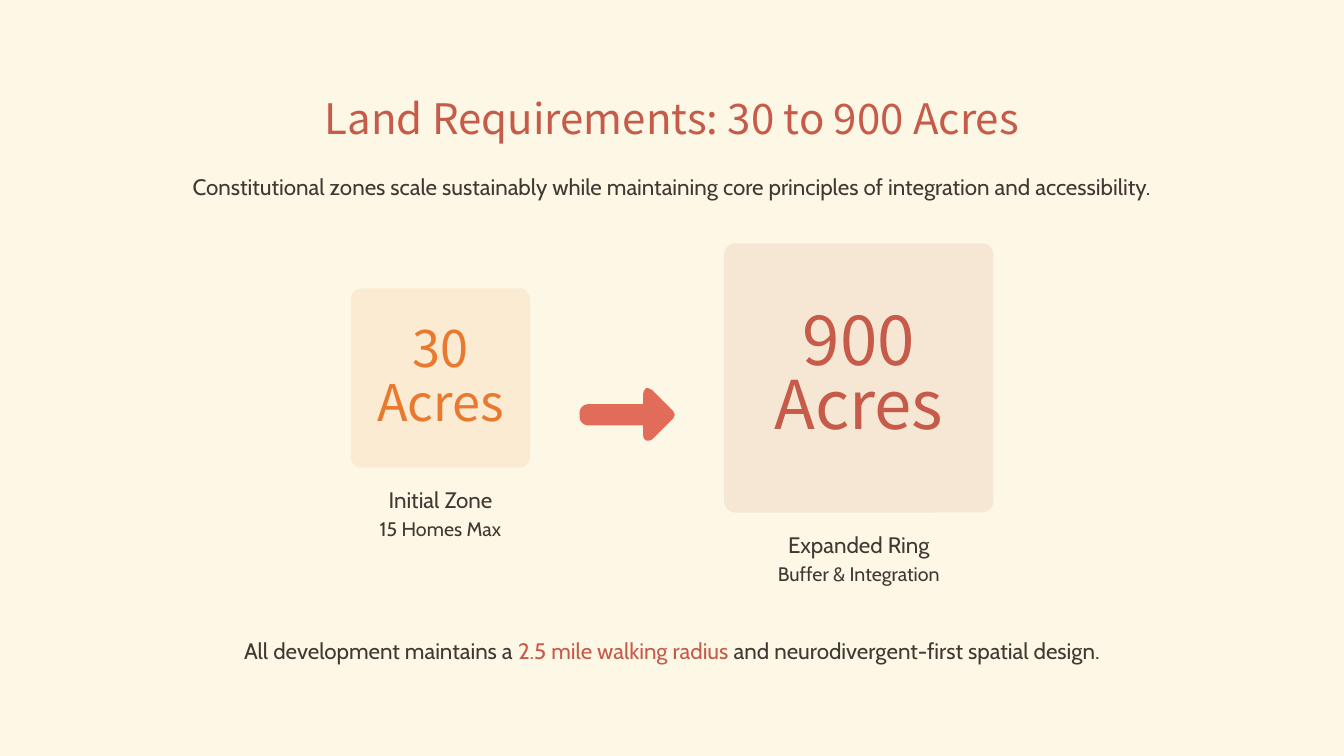
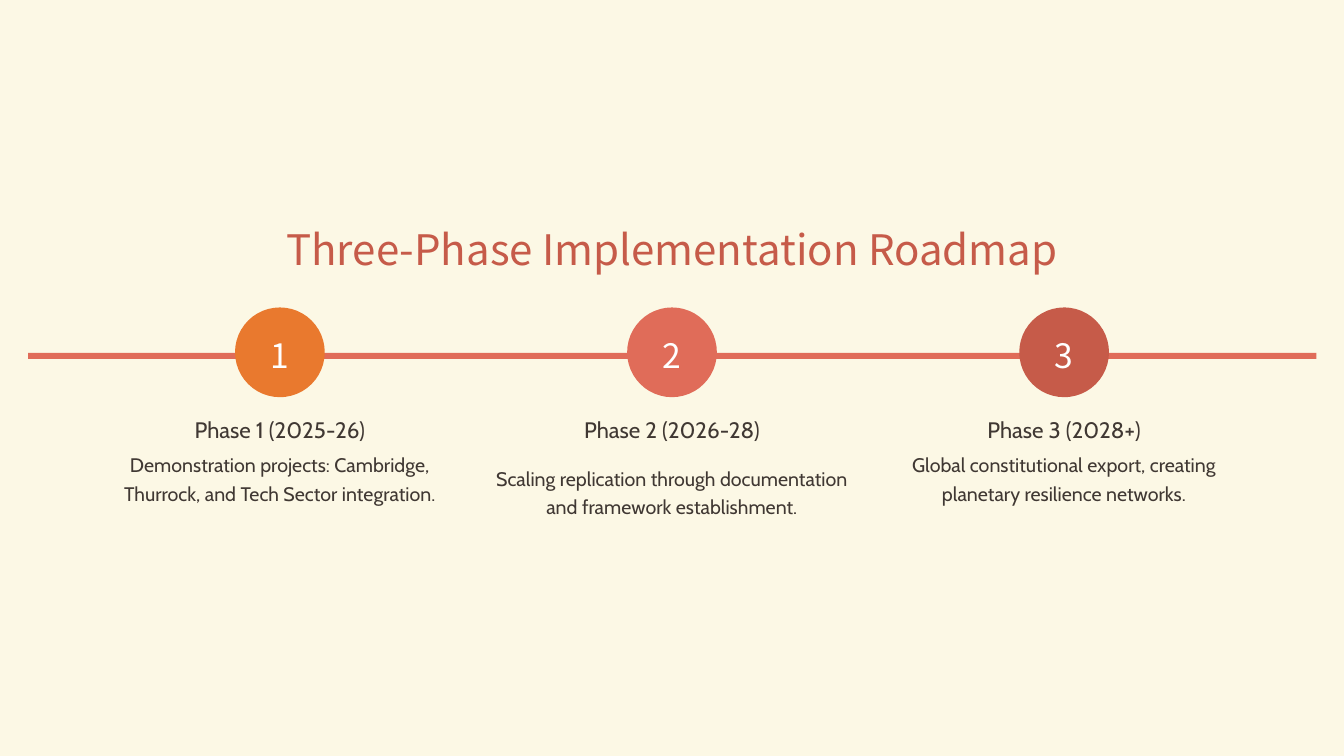
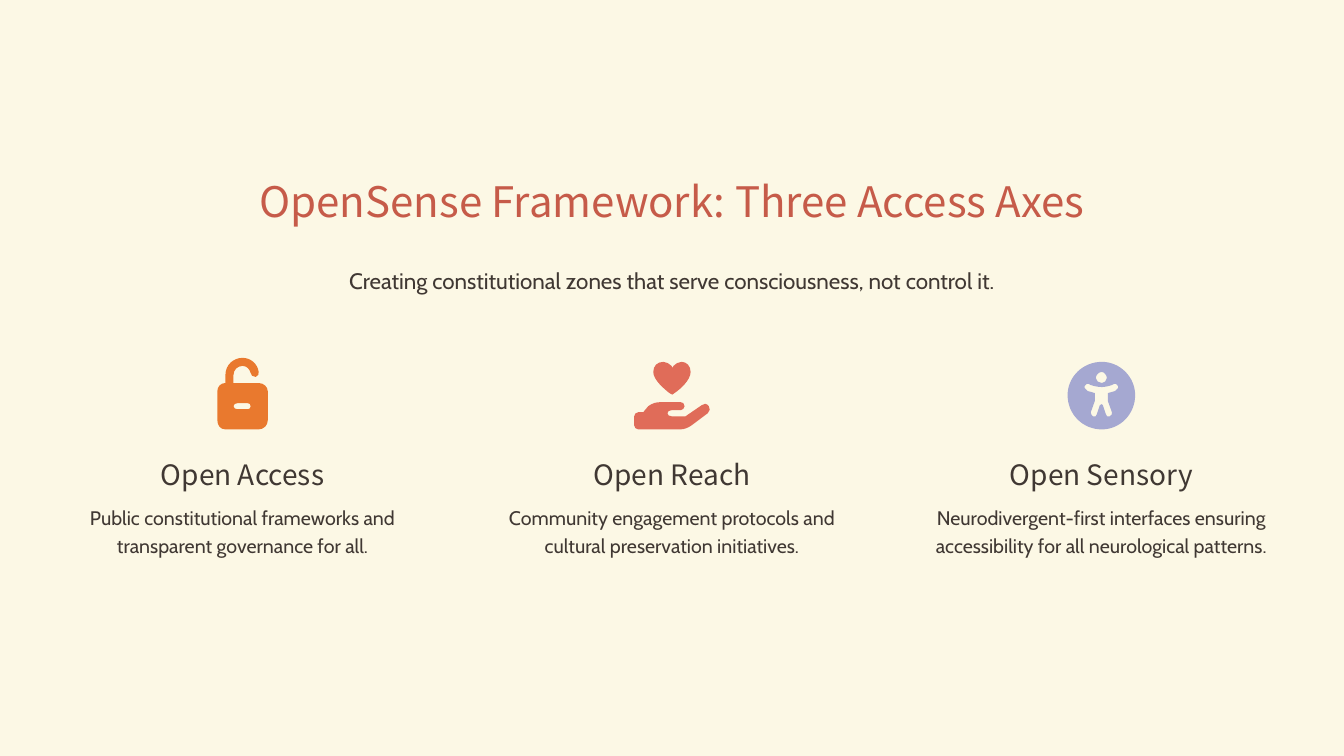
from lxml.etree import SubElement
from pptx import Presentation
from pptx.dml.color import RGBColor
from pptx.enum.shapes import MSO_SHAPE
from pptx.enum.text import MSO_ANCHOR, PP_ALIGN
from pptx.oxml.ns import qn
from pptx.util import Inches, Pt

CREAM, DARK, WHITE = "FCF8E5", "403833", "FFFFFF"
BRICK, CORAL, ORANGE, LILAC = "C65B49", "E06C59", "E9792E", "A5A8D1"
HEADING, BODY = "Noto Sans CJK SC", "Cabin"
WIDTH, HEIGHT = 40 / 3, 7.5
MIDDLE = WIDTH / 2

# Outlines in hundredths of an inch: two numbers are a point, six a Bezier curve.
ARROW = [
    "93 23, 95 25 95 28 93 30, 72 51, 70 52 68 53 66 52, 64 51 63 49 63 47, 63 37,"
    "8 37, 4 37 0 33 0 29, 0 24, 0 20 4 16 8 16, 63 16, 63 6, 63 4 64 2 66 0,"
    "68 0 70 0 72 2, 93 23",
]
PADLOCK = [
    "25 8, 20 8 16 12 16 17, 16 25, 41 25, 46 25 50 29 50 33, 50 62,"
    "50 67 46 71 41 71, 8 71, 3 71 0 67 0 62, 0 33, 0 29 3 25 8 25, 8 17,"
    "8 7 16 0 25 0, 33 0 40 6 41 14, 42 16 40 18 38 19, 35 19 33 17 33 15,"
    "32 11 29 8 25 8",
    "30 51, 32 51 33 50 33 48, 33 46 32 45 30 45, 20 45, 18 45 16 46 16 48,"
    "16 50 18 51 20 51, 30 51",
]
HEART_IN_HAND = [
    "37 4, 35 2 32 0 29 0, 23 0 19 4 19 10, 19 10, 19 18 30 27 35 31,"
    "37 33 39 33 40 31, 46 27 56 18 56 10, 56 10, 56 4 52 0 47 0, 44 0 41 2 39 4,"
    "38 6, 37 4",
    "14 44, 9 50, 4 50, 2 50 0 52 0 54, 0 63, 0 65 2 67 4 67, 46 67,"
    "50 67 54 65 57 63, 73 51, 75 49 76 46 74 44, 72 41 69 41 67 43, 51 54, 37 54,"
    "35 54 33 53 33 51, 33 49 35 48 37 48, 46 48, 48 48 50 46 50 44,"
    "50 41 48 40 46 40, 26 40, 22 40 18 41 14 44",
]
PERSON = [
    "0 33, 0 15 15 0 34 0, 52 0 67 15 67 33, 67 52 52 67 34 67, 15 67 0 52 0 33",
    "21 22, 20 21 18 22 17 24, 16 25 17 27 19 28, 20 29, 23 30 25 30 27 31, 27 37,"
    "27 38 27 38 27 39, 23 50, 23 52 24 53 25 54, 27 55 29 54 29 52, 32 43,"
    "33 42 33 42 34 42, 34 42 35 42 35 43, 38 52, 38 54 40 55 42 54,"
    "44 53 44 52 44 50, 40 39, 40 38 40 38 40 37, 40 31, 42 30 45 30 47 29, 48 28,"
    "50 27 51 25 50 24, 49 22 47 21 46 22, 44 23, 41 24 37 25 34 25,"
    "30 25 26 24 23 23, 21 22",
    "34 21, 36 21 39 19 39 16, 39 13 36 10 34 10, 31 10 28 13 28 16, 28 19 31 21 34 21",
]


def add_text(page, center, top, width, height, paragraphs, size, font=BODY, spacing=1.3):
    """Add a centred text box; each paragraph is a list of (text, colour) runs."""
    box = page.shapes.add_textbox(
        Inches(center - width / 2), Inches(top), Inches(width), Inches(height))
    frame = box.text_frame
    frame.word_wrap = True
    frame.vertical_anchor = MSO_ANCHOR.MIDDLE
    frame.margin_left = frame.margin_top = frame.margin_right = frame.margin_bottom = 0
    for number, runs in enumerate(paragraphs):
        para = frame.add_paragraph() if number else frame.paragraphs[0]
        para.alignment = PP_ALIGN.CENTER
        para.line_spacing = spacing
        for text, color in runs:
            span = para.add_run()
            span.text = text
            span.font.name = font
            span.font.size = Pt(size)
            span.font.color.rgb = RGBColor.from_string(color)


def add_figure(page, figure, left, top, color, width=0, height=0):
    """Draw a preset of the given size, or an outline at its own size."""
    if isinstance(figure, list):
        builder, segments = None, []
        for contour in figure:
            start, *rest = [[int(n) for n in part.split()] for part in contour.split(",")]
            if builder is None:
                builder = page.shapes.build_freeform(*start, scale=Inches(0.01))
            else:
                builder.move_to(*start)
            builder.add_line_segments([segment[-2:] for segment in rest], close=True)
            segments += rest
        shape = builder.convert_to_shape(Inches(left), Inches(top))
        # The builder only knows straight lines, so curves replace them here.
        lines = list(shape._element.iter(qn("a:lnTo")))
        for line, segment in zip(lines, segments):
            if len(segment) == 6:
                parent = line.getparent()
                curve = SubElement(parent, qn("a:cubicBezTo"))
                parent.replace(line, curve)
                for x, y in zip(segment[::2], segment[1::2]):
                    SubElement(curve, qn("a:pt"), x=str(x), y=str(y))
    else:
        shape = page.shapes.add_shape(
            figure, Inches(left), Inches(top), Inches(width), Inches(height))
    shape.shadow.inherit = False
    shape.fill.solid()
    shape.fill.fore_color.rgb = RGBColor.from_string(color)
    shape.line.fill.background()
    return shape


deck = Presentation()
deck.slide_width, deck.slide_height = Inches(WIDTH), Inches(HEIGHT)

pages = []
for title_top, title in [
    (0.92, "Land Requirements: 30 to 900 Acres"),
    (2.22, "Three-Phase Implementation Roadmap"),
    (1.74, "OpenSense Framework: Three Access Axes"),
]:
    page = deck.slides.add_slide(deck.slide_layouts[6])
    page.background.fill.solid()
    page.background.fill.fore_color.rgb = RGBColor.from_string("F3F4F6")
    add_figure(page, MSO_SHAPE.RECTANGLE, -0.03, 0, CREAM, 13.38, HEIGHT)
    add_text(page, MIDDLE, title_top, WIDTH, 0.5, [[(title, BRICK)]], 30, HEADING, 1)
    pages.append(page)
land_page, roadmap_page, access_page = pages

# Land requirements
add_text(land_page, MIDDLE, 1.65, WIDTH, 0.33, [[(
    "Constitutional zones scale sustainably while maintaining core principles "
    "of integration and accessibility.", DARK)]], 16)
zone_middle = 3.75
for center, side, acres, width, height, size, spacing, color, label, caption in [
    (4.37, 1.78, "30", 1.28, 1.11, 36, 0.9, ORANGE, "Initial Zone", "15 Homes Max"),
    (8.52, 2.67, "900", 1.71, 1.33, 48, 0.8, BRICK, "Expanded Ring", "Buffer & Integration"),
]:
    top = zone_middle - side / 2
    zone = add_figure(land_page, MSO_SHAPE.ROUNDED_RECTANGLE,
                      center - side / 2, top, color, side, side)
    zone.adjustments[0] = 0.11 / side
    SubElement(zone.fill._xPr.find(qn("a:solidFill"))[0], qn("a:alpha"), val="10000")
    add_text(land_page, center, zone_middle - height / 2, width, height,
             [[(acres, color)], [("Acres", color)]], size, HEADING, spacing)
    label_top = top + side + 0.11
    add_text(land_page, center, label_top, side + 0.55, 0.33, [[(label, DARK)]], 16)
    add_text(land_page, center, label_top + 0.33, side + 0.55, 0.28,
             [[(caption, DARK)]], 14, spacing=1.2)
add_figure(land_page, ARROW, 5.75, 3.85, CORAL)
add_text(land_page, MIDDLE, 6.25, 12.78, 0.33, [[
    ("All development maintains a ", DARK),
    ("2.5 mile walking radius", BRICK),
    (" and neurodivergent-first spatial design.", DARK)]], 16)

# Roadmap
add_figure(roadmap_page, MSO_SHAPE.RECTANGLE, 0.28, 3.5, CORAL, 12.78, 0.06)
disc = 0.89
for number, (color, phase, detail, detail_height) in enumerate([
    (ORANGE, "Phase 1 (2025-26)",
     "Demonstration projects: Cambridge, Thurrock, and Tech Sector integration.", 0.56),
    (CORAL, "Phase 2 (2026-28)",
     "Scaling replication through documentation and framework establishment.", 0.83),
    (BRICK, "Phase 3 (2028+)",
     "Global constitutional export, creating planetary resilience networks.", 0.56),
], start=1):
    center = MIDDLE + (number - 2) * 3.89
    add_figure(roadmap_page, MSO_SHAPE.OVAL, center - disc / 2, 3.05, color, disc, disc)
    add_text(roadmap_page, center, 3.06, 1.44, disc, [[(str(number), WHITE)]], 24, HEADING, 1.1)
    add_text(roadmap_page, center, 4.06, 4.22, 0.33, [[(phase, DARK)]], 16)
    add_text(roadmap_page, center, 4.45, 3.67, detail_height, [[(detail, DARK)]], 14, spacing=1.2)

# Access axes
add_text(access_page, MIDDLE, 2.58, WIDTH, 0.33, [[(
    "Creating constitutional zones that serve consciousness, not control it.", DARK)]], 16)
for column, (icon, icon_width, icon_top, color, axis, detail) in enumerate([
    (PADLOCK, 0.5, 3.55, ORANGE, "Open Access",
     "Public constitutional frameworks and transparent governance for all."),
    (HEART_IN_HAND, 0.75, 3.59, CORAL, "Open Reach",
     "Community engagement protocols and cultural preservation initiatives."),
    (PERSON, 0.67, 3.59, LILAC, "Open Sensory",
     "Neurodivergent-first interfaces ensuring accessibility for all neurological patterns."),
]):
    center = MIDDLE + (column - 1) * 4.26
    add_figure(access_page, icon, center - icon_width / 2, icon_top, color)
    add_text(access_page, center, 4.48, 4.38, 0.39, [[(axis, DARK)]], 20, HEADING, 1.2)
    add_text(access_page, center, 4.97, 3.82, 0.56, [[(detail, DARK)]], 14, spacing=1.2)

deck.save("out.pptx")
